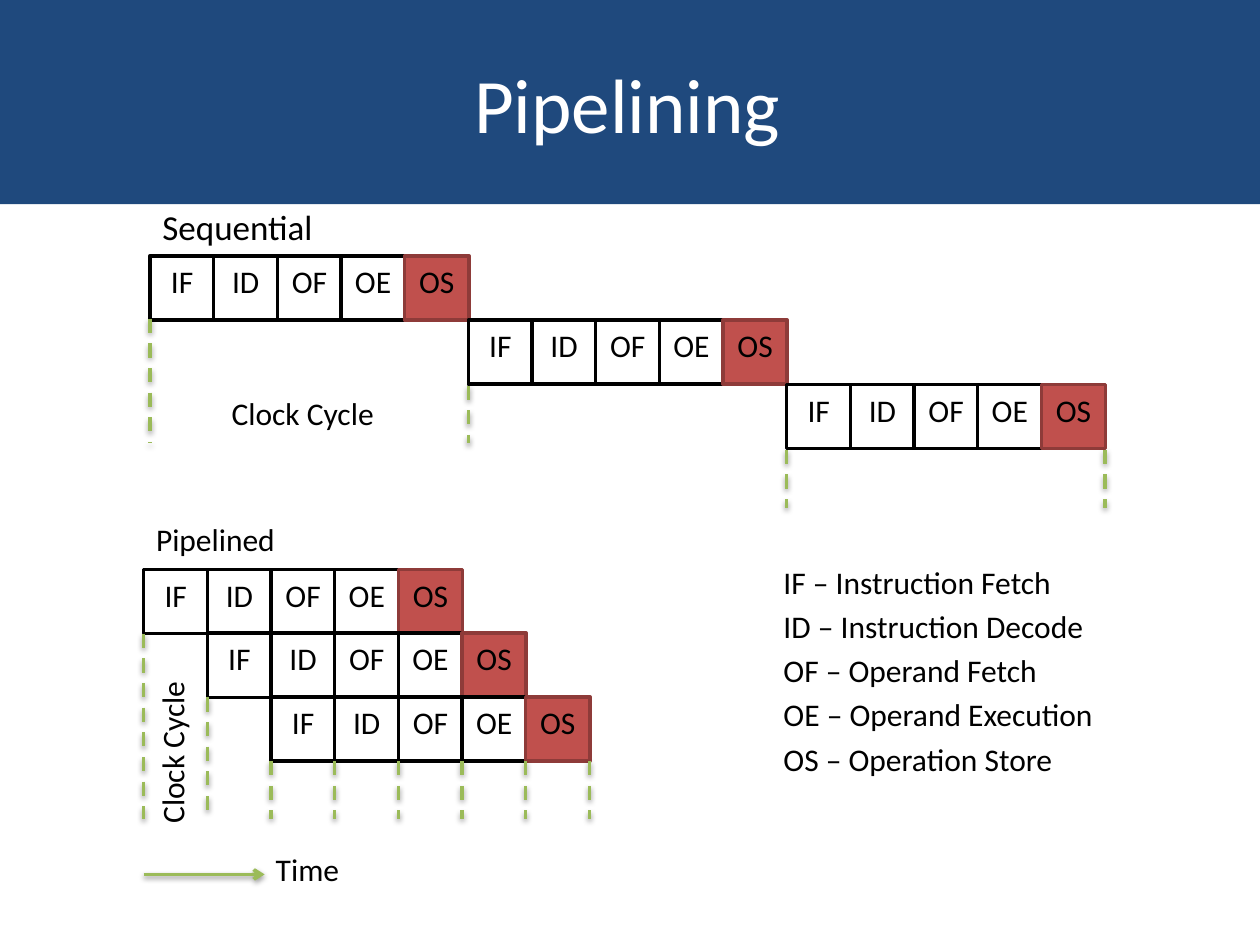
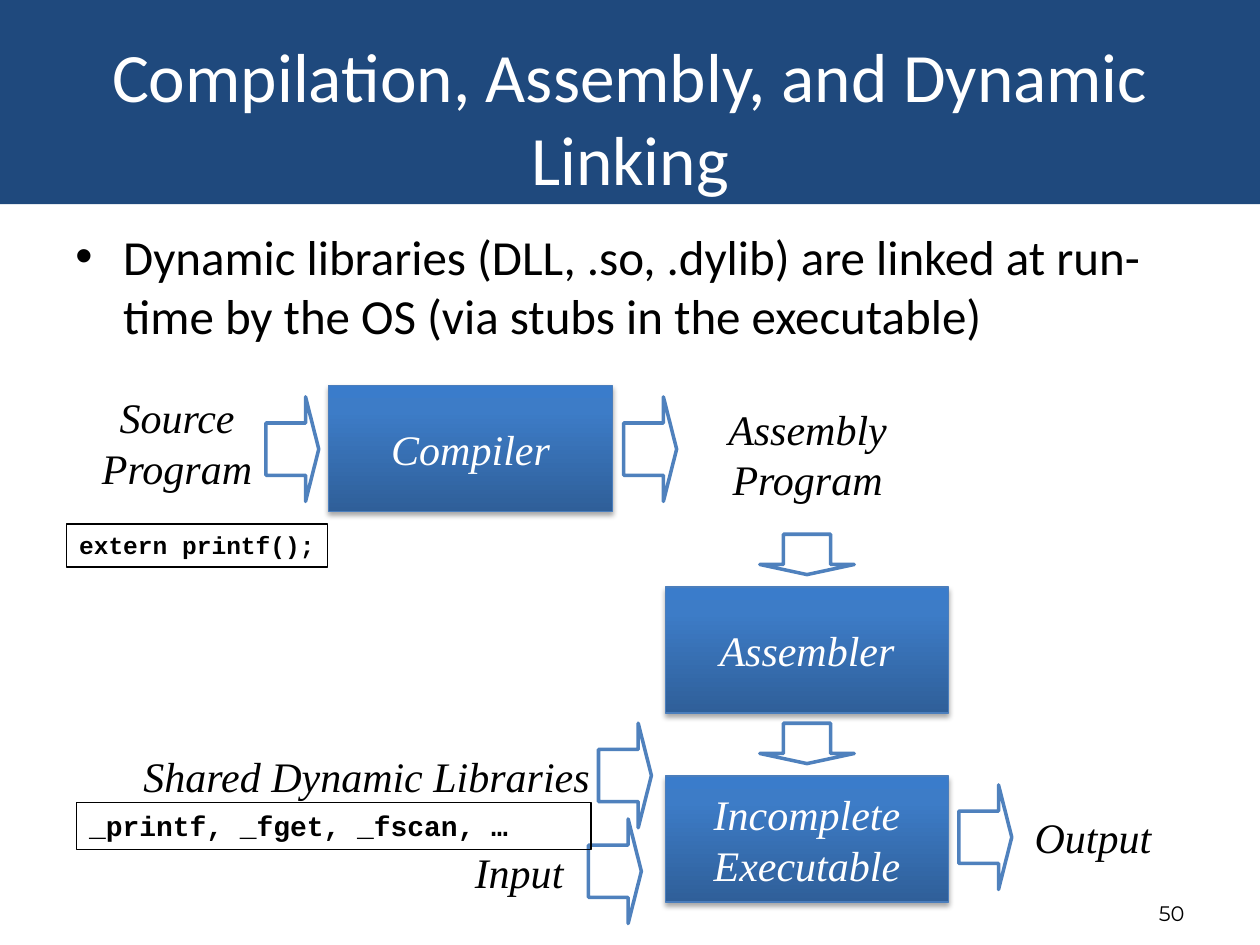
from dataclasses import dataclass
from typing import Any, NamedTuple

import lxml.etree
import pptx
import pptx.dml.color
import pptx.enum.dml
import pptx.enum.shapes
import pptx.enum.text
import pptx.oxml.ns
import pptx.slide
import pptx.util

Inches = pptx.util.Inches
Pt = pptx.util.Pt
RGBColor = pptx.dml.color.RGBColor
ALIGN = pptx.enum.text.PP_ALIGN
ANCHOR = pptx.enum.text.MSO_ANCHOR
GROW = pptx.enum.text.MSO_AUTO_SIZE.SHAPE_TO_FIT_TEXT
SHAPE = pptx.enum.shapes.MSO_SHAPE
DASH = pptx.enum.dml.MSO_LINE.DASH
qn = pptx.oxml.ns.qn

NAVY = RGBColor(0x1F, 0x49, 0x7D)
WHITE = RGBColor(0xFF, 0xFF, 0xFF)
BLACK = RGBColor(0, 0, 0)
RED = RGBColor(0xC0, 0x50, 0x4D)
DARK_RED = RGBColor(0x8E, 0x3B, 0x39)
GREEN = RGBColor(0x9B, 0xBB, 0x59)
ARROW_BLUE = RGBColor(0x4F, 0x81, 0xBD)
EDGE_BLUE = RGBColor(0x4B, 0x7E, 0xBC)
STAGE_GRADIENT = (
    (0, RGBColor(0x2F, 0x5F, 0x99)),
    (80, RGBColor(0x3D, 0x7C, 0xC7)),
    (100, RGBColor(0x3A, 0x7C, 0xCB)),
)

TITLE = {"name": "Calibri", "size": Pt(44)}
LONG_TITLE = {"name": "Calibri", "size": Pt(39.6)}
BULLET = {"name": "Calibri", "size": Pt(28)}
HEADING = {"name": "Calibri", "size": Pt(20)}
LABEL = {"name": "Calibri", "size": Pt(18)}
FLOW = {"name": "Times New Roman", "size": Pt(24), "italic": True}
CODE = {"name": "Courier New", "size": Pt(16), "bold": True}
SMALL_CODE = {"name": "Courier New", "size": Pt(14), "bold": True}
PAGE_NUMBER = {"name": "Montserrat", "size": Pt(12)}

CENTERED = {"alignment": ALIGN.CENTER}
LEFT = {"alignment": ALIGN.LEFT}
RIGHT = {"alignment": ALIGN.RIGHT}
MIDDLE = {"word_wrap": True, "vertical_anchor": ANCHOR.MIDDLE}
TOP = {"word_wrap": True, "vertical_anchor": ANCHOR.TOP}
TOP_UNWRAPPED = {"word_wrap": False, "vertical_anchor": ANCHOR.TOP, "auto_size": GROW}
MIDDLE_UNWRAPPED = {"word_wrap": False, "vertical_anchor": ANCHOR.MIDDLE}
IN_CELL = {**TOP, "margin_left": 0, "margin_right": 0}

STAGES = ("IF", "ID", "OF", "OE", "OS")
INSTRUCTIONS = 3
CELL = 0.51
CYCLE = 7.58 / INSTRUCTIONS
STEP = CYCLE / len(STAGES)


class Box(NamedTuple):
    left: float
    top: float
    width: float
    height: float

    def lengths(self) -> list[int]:
        return [Inches(value) for value in self]


@dataclass
class Caption:
    text: str
    box: Box
    font: dict[str, Any]
    frame: dict[str, Any]
    paragraph: dict[str, Any]
    rotation: int = 0


@dataclass
class Block:
    text: str
    left: float
    top: float


def apply(target: Any, values: dict[str, Any]) -> None:
    for name, value in values.items():
        setattr(target, name, value)


def write(shape: Any, text: str, font: dict[str, Any], frame: dict[str, Any],
          paragraph_format: dict[str, Any], color: RGBColor = BLACK) -> None:
    shape.text_frame.text = text
    apply(shape.text_frame, frame)
    for paragraph in shape.text_frame.paragraphs:
        apply(paragraph, paragraph_format)
        apply(paragraph.runs[0].font, font)
        paragraph.runs[0].font.color.rgb = color


def add_caption(slide: pptx.slide.Slide, caption: Caption, color: RGBColor = BLACK) -> Any:
    label = slide.shapes.add_textbox(*caption.box.lengths())
    label.rotation = caption.rotation
    write(label, caption.text, caption.font, caption.frame, caption.paragraph, color)
    return label


def add_box(slide: pptx.slide.Slide, kind: Any, box: Box, fill: RGBColor | None,
            line: RGBColor | None, width: float = 2) -> Any:
    shape = slide.shapes.add_shape(kind, *box.lengths())
    shape.shadow.inherit = False
    if fill is None:
        shape.fill.background()
    else:
        shape.fill.solid()
        shape.fill.fore_color.rgb = fill
    if line is None:
        shape.line.fill.background()
    else:
        shape.line.color.rgb = line
        shape.line.width = Pt(width)
    return shape


def add_shadow(shape: Any, alpha: int, distance: float) -> None:
    properties = shape._element.spPr
    effects = properties.find(qn("a:effectLst"))
    if effects is None:
        effects = lxml.etree.SubElement(properties, qn("a:effectLst"))
    outer = lxml.etree.SubElement(
        effects, qn("a:outerShdw"), blurRad=str(Pt(3.1)), dist=str(Pt(distance)),
        dir="5400000", rotWithShape="0")
    tint = lxml.etree.SubElement(outer, qn("a:srgbClr"), val=str(BLACK))
    lxml.etree.SubElement(tint, qn("a:alpha"), val=str(alpha * 1000))


def add_line(slide: pptx.slide.Slide, start: tuple[float, float],
             end: tuple[float, float]) -> Any:
    line = slide.shapes.add_connector(
        pptx.enum.shapes.MSO_CONNECTOR.STRAIGHT,
        *[Inches(value) for value in (*start, *end)])
    line.line.color.rgb = GREEN
    line.line.width = Pt(2)
    add_shadow(line, 38, 1.6)
    return line


def add_guide(slide: pptx.slide.Slide, x: float, top: float, bottom: float) -> None:
    add_line(slide, (x, top), (x, bottom)).line.dash_style = DASH


def add_instruction(slide: pptx.slide.Slide, left: float, top: float) -> None:
    for index, stage in enumerate(STAGES):
        fill, edge = (RED, DARK_RED) if stage == "OS" else (WHITE, BLACK)
        box = Box(left + index * STEP, top, CELL, CELL)
        cell = add_box(slide, SHAPE.RECTANGLE, box, fill, edge)
        write(cell, stage, LABEL, IN_CELL, CENTERED)


def add_stage(slide: pptx.slide.Slide, block: Block) -> None:
    box = Box(block.left, block.top, 2.25, 1)
    stage = add_box(slide, SHAPE.RECTANGLE, box, None, EDGE_BLUE, 0.75)
    stage.fill.gradient()
    stage.fill.gradient_angle = 90
    stops = stage._element.spPr.find(qn("a:gradFill")).find(qn("a:gsLst"))
    for stop in list(stops):
        stops.remove(stop)
    for position, color in STAGE_GRADIENT:
        stop = lxml.etree.SubElement(stops, qn("a:gs"), pos=str(position * 1000))
        lxml.etree.SubElement(stop, qn("a:srgbClr"), val=str(color))
    add_shadow(stage, 35, 1.8)
    write(stage, block.text, FLOW, MIDDLE_UNWRAPPED, CENTERED, WHITE)


def add_arrow(slide: pptx.slide.Slide, kind: Any, box: Box) -> None:
    arrow = add_box(slide, kind, box, WHITE, ARROW_BLUE)
    arrow.adjustments[0] = 0.5
    arrow.adjustments[1] = 0.25


def add_code(slide: pptx.slide.Slide, text: str, box: Box, font: dict[str, Any],
             frame: dict[str, Any]) -> None:
    code = add_box(slide, SHAPE.RECTANGLE, box, None, BLACK, 0.75)
    write(code, text, font, frame, LEFT)


def add_titled_slide(deck: Any, title: str, box: Box, font: dict[str, Any]) -> pptx.slide.Slide:
    slide = deck.slides.add_slide(deck.slide_layouts[6])
    add_box(slide, SHAPE.RECTANGLE, Box(0, 0, 10, 1.62), NAVY, None)
    add_caption(slide, Caption(title, box, font, MIDDLE, CENTERED), WHITE)
    return slide


def build_pipelining(deck: Any) -> None:
    slide = add_titled_slide(deck, "Pipelining", Box(0.48, 0.19, 9, 1.25), TITLE)
    legend = "\n".join((
        "IF – Instruction Fetch", "ID – Instruction Decode", "OF – Operand Fetch",
        "OE – Operand Execution", "OS – Operation Store"))
    add_caption(slide, Caption(legend, Box(6.12, 4.42, 3.04, 2.28), LABEL, TOP,
                               {"space_before": Pt(3.6)}))

    sequential_left, sequential_top = 1.19, 2.03
    pipelined_left, pipelined_top = 1.14, 4.52
    for row in range(INSTRUCTIONS):
        add_instruction(slide, sequential_left + row * CYCLE, sequential_top + row * CELL)
    for row in range(INSTRUCTIONS):
        add_instruction(slide, pipelined_left + row * STEP, pipelined_top + row * STEP)

    for caption in (
        Caption("Sequential", Box(1.19, 1.58, 2.57, 0.44), HEADING, TOP, LEFT),
        Caption("Pipelined", Box(1.14, 4.08, 2.57, 0.4), LABEL, TOP, LEFT),
        Caption("Clock Cycle", Box(1.74, 3.08, 1.87, 0.4), LABEL, TOP, LEFT),
        Caption("Clock Cycle", Box(0.56, 5.63, 1.61, 0.4), LABEL, TOP, LEFT, 270),
        Caption("Time", Box(2.09, 6.7, 1.87, 0.4), LABEL, TOP, LEFT),
    ):
        add_caption(slide, caption)

    for cycle, top, bottom in ((0, 2.53, 3.52), (1, 3.06, 3.52), (2, 3.57, 4.03), (3, 3.57, 4.03)):
        add_guide(slide, sequential_left + cycle * CYCLE, top, bottom)
    for tick in range(8):
        top = pipelined_top + CELL + min(tick, 2) * STEP
        add_guide(slide, pipelined_left + tick * STEP, top, 6.5)

    time_axis = add_line(slide, (pipelined_left, 6.94), (2.1, 6.94))
    outline = time_axis._element.spPr.find(qn("a:ln"))
    lxml.etree.SubElement(outline, qn("a:tailEnd"), type="arrow")


def build_dynamic_linking(deck: Any) -> None:
    slide = add_titled_slide(deck, "Compilation, Assembly, and Dynamic Linking",
                             Box(0.5, 0.3, 9, 1.25), LONG_TITLE)
    statement = add_caption(slide, Caption(
        "Dynamic libraries (DLL, .so, .dylib) are linked at run-time by the OS "
        "(via stubs in the executable)",
        Box(0.5, 1.75, 9, 1.2), BULLET, TOP, {"space_before": Pt(5.6)}))
    properties = statement.text_frame.paragraphs[0]._p.get_or_add_pPr()
    properties.set("marL", str(Inches(0.38)))
    properties.set("indent", str(-Inches(0.38)))
    lxml.etree.SubElement(properties, qn("a:buFont"), typeface="Arial")
    lxml.etree.SubElement(properties, qn("a:buChar"), char="•")
    add_caption(slide, Caption("50", Box(7.17, 7.08, 2.33, 0.33), PAGE_NUMBER, MIDDLE, RIGHT))

    for block in (
        Block("Compiler", 2.61, 3.06),
        Block("Assembler", 5.28, 4.66),
        Block("Incomplete\nExecutable", 5.28, 6.16),
    ):
        add_stage(slide, block)

    for left, top in ((2.11, 3.15), (4.95, 3.15), (4.67, 6.5), (7.61, 6.23), (4.75, 5.74)):
        add_arrow(slide, SHAPE.RIGHT_ARROW, Box(left, top, 0.42, 0.83))
    for top in (4.24, 5.74):
        add_arrow(slide, SHAPE.DOWN_ARROW, Box(6.03, top, 0.75, 0.32))

    for text, box in (
        ("Source\nProgram", Box(0.7, 3.06, 1.41, 0.9)),
        ("Assembly\nProgram", Box(5.68, 3.15, 1.46, 0.9)),
        ("Input", Box(3.65, 6.67, 0.94, 0.5)),
        ("Output", Box(8.11, 6.39, 1.13, 0.5)),
        ("Shared Dynamic Libraries", Box(1.03, 5.91, 3.76, 0.5)),
    ):
        add_caption(slide, Caption(text, box, FLOW, TOP_UNWRAPPED, CENTERED))

    add_code(slide, "_printf, _fget, _fscan, …", Box(0.61, 6.37, 4.08, 0.37), CODE, TOP)
    add_code(slide, "extern printf();", Box(0.53, 4.16, 2.07, 0.34), SMALL_CODE, TOP_UNWRAPPED)


def main() -> None:
    deck = pptx.Presentation()
    deck.slide_width, deck.slide_height = Inches(10), Inches(7.5)
    build_pipelining(deck)
    build_dynamic_linking(deck)
    deck.save("out.pptx")


main()
